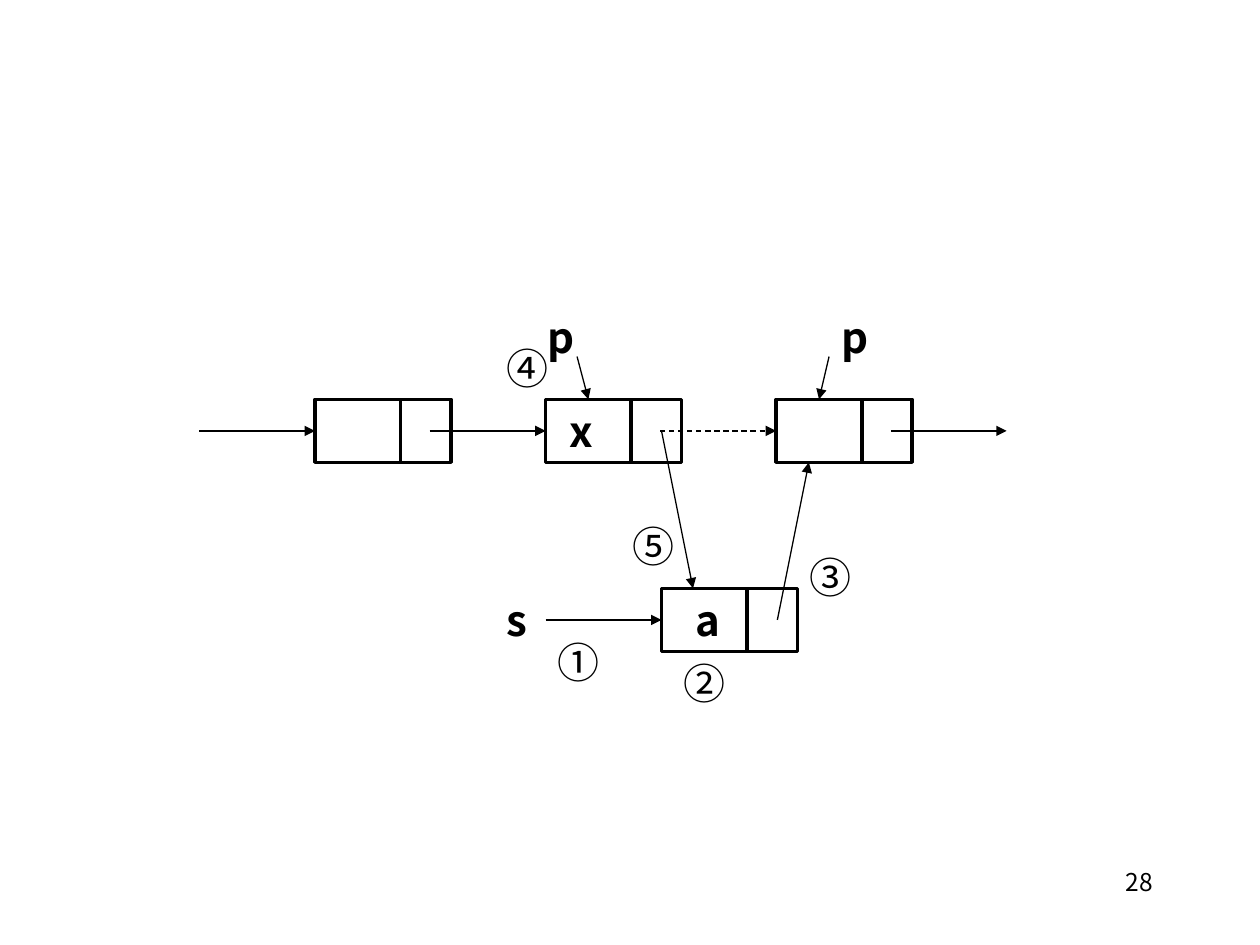
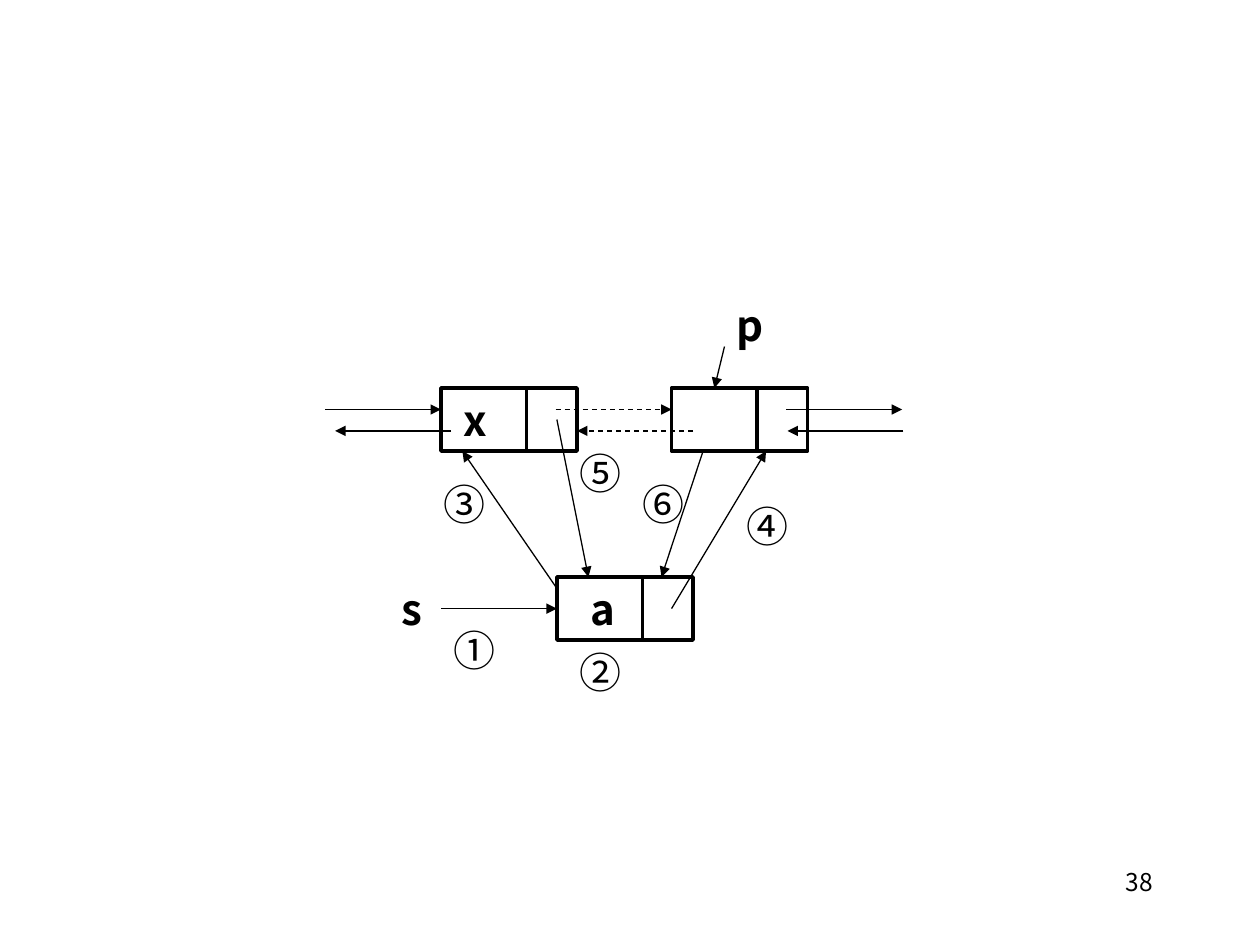
from lxml import etree
from pptx import Presentation
from pptx.dml.color import RGBColor
from pptx.enum.dml import MSO_LINE
from pptx.enum.shapes import MSO_CONNECTOR, MSO_SHAPE
from pptx.enum.text import MSO_AUTO_SIZE, PP_ALIGN
from pptx.oxml.ns import qn
from pptx.util import Inches, Pt

INK = RGBColor(0x00, 0x00, 0x00)
PAPER = RGBColor(0xFF, 0xFF, 0xFF)
FONT = "Noto Sans CJK JP"
DASH = MSO_LINE.DASH
LINE = MSO_CONNECTOR.STRAIGHT
RECT = MSO_SHAPE.RECTANGLE
LEFT, RIGHT = PP_ALIGN.LEFT, PP_ALIGN.RIGHT
GROW, FIXED = MSO_AUTO_SIZE.SHAPE_TO_FIT_TEXT, MSO_AUTO_SIZE.NONE

WIDE, TALL, SPLIT = 1.08, 0.5, 0.68
PITCH, REACH = 1.83, 0.92


class Deck:
    def __init__(self):
        self.file = Presentation()
        self.file.slide_width = Inches(10)
        self.file.slide_height = Inches(7.5)
        self.slide = None

    def page(self, number):
        self.slide = self.file.slides.add_slide(self.file.slide_layouts[6])
        fill = self.slide.background.fill
        fill.solid()
        fill.fore_color.rgb = PAPER
        self.text(number, 7.17, 6.83, 2.08, 14, align=RIGHT, size=FIXED)

    def text(self, words, x, y, wide, points=24, bold=False, align=LEFT, size=GROW):
        box = self.slide.shapes.add_textbox(
            Inches(x), Inches(y), Inches(wide), Inches(TALL))
        frame = box.text_frame
        frame.text = words
        frame.word_wrap = True
        frame.auto_size = size
        para = frame.paragraphs[0]
        para.alignment = align
        para.space_before = Pt(points * 0.625)
        run = para.runs[0]
        font = run.font
        font.name, font.size, font.bold = FONT, Pt(points), bold
        font.color.rgb = INK
        for tag in ("a:ea", "a:sym"):
            face = etree.Element(qn(tag), typeface=FONT)
            if tag == "a:ea":
                font._element.append(face)
            else:
                font._element.append(face)

    def name(self, letter, x, y):
        self.text(letter, x, y, 0.58, bold=True)

    def step(self, mark, x, y):
        self.text(mark, x, y, 0.83)

    def line(self, start, end, width=0.75, shapes=None):
        points = [Inches(n) for n in (*start, *end)]
        line = (shapes or self.slide.shapes).add_connector(LINE, *points)
        line.line.color.rgb = INK
        line.line.width = Pt(width)
        etree.SubElement(line._element.spPr, qn("a:effectLst"))
        return line

    def arrow(self, start, end, dash=False):
        line = self.line(start, end).line
        if dash:
            line.dash_style = DASH
        etree.SubElement(line._get_or_add_ln(), qn("a:tailEnd"), type="triangle")

    def flat(self, x, y, way=1, dash=False):
        self.arrow((x, y), (x + way * REACH, y), dash)

    def node(self, x, y):
        group = self.slide.shapes.add_group_shape()
        box = group.shapes.add_shape(
            RECT, Inches(x), Inches(y), Inches(WIDE), Inches(TALL))
        box.shadow.inherit = False
        box.fill.background()
        box.line.color.rgb = INK
        box.line.width = Pt(2)
        self.line((x + SPLIT, y), (x + SPLIT, y + TALL), 2, group.shapes)

    def insert(self, x, y):
        self.node(x, y)
        self.flat(x - REACH, y + 0.25)
        self.name("s", x - 1.33, y)
        self.name("a", x + 0.17, y)
        self.step("①", x - REACH, y + 0.33)
        self.step("②", x + 0.08, y + TALL)


def single(deck):
    deck.page("28")
    top, mid = 3.17, 3.42
    for i in range(3):
        deck.node(2.5 + i * PITCH, top)
    for i in range(4):
        deck.flat(1.58 + i * PITCH, mid, dash=i == 2)
    deck.insert(5.25, 4.67)
    deck.arrow((6.17, 4.92), (6.42, 3.67))
    deck.arrow((5.25, mid), (5.5, 4.67))
    deck.arrow((4.58, 2.83), (4.67, top))
    deck.arrow((6.58, 2.83), (6.5, top))
    deck.name("p", 4.25, 2.42)
    deck.name("p", 6.58, 2.42)
    deck.name("x", 4.42, top)
    deck.step("③", 6.33, 4.33)
    deck.step("④", 3.92, 2.67)
    deck.step("⑤", 4.92, 4.08)


def double(deck):
    deck.page("38")
    top, base = 3.08, 3.58
    for i in range(2):
        deck.node(3.5 + i * PITCH, top)
    for i in range(3):
        deck.flat(2.58 + i * PITCH, 3.25, dash=i == 1)
    for x in (3.58, 5.5, 7.17):
        deck.flat(x, 3.42, -1, dash=x == 5.5)
    deck.insert(4.42, 4.58)
    deck.arrow((5.33, 4.83), (6.08, base))
    deck.arrow((4.42, 3.33), (4.67, 4.58))
    deck.arrow((5.58, base), (5.25, 4.58))
    deck.arrow((4.42, 4.67), (3.67, base))
    deck.arrow((5.75, 2.75), (5.67, top))
    deck.name("p", 5.75, 2.33)
    deck.name("x", 3.58, top)
    deck.step("③", 3.42, 3.75)
    deck.step("④", 5.83, 3.92)
    deck.step("⑤", 4.5, 3.5)
    deck.step("⑥", 5, 3.75)


def main():
    deck = Deck()
    single(deck)
    double(deck)
    deck.file.save("out.pptx")


if __name__ == "__main__":
    main()
